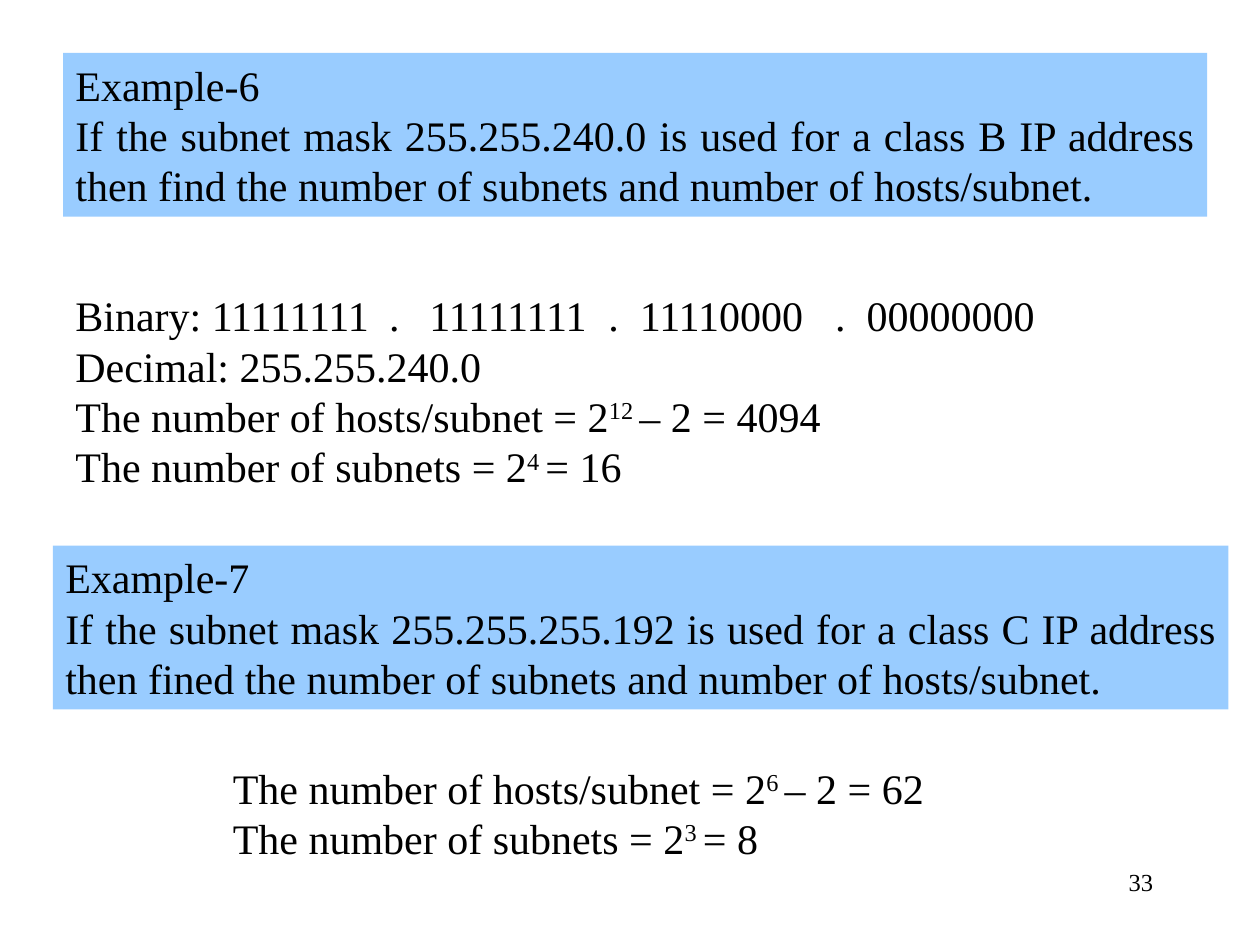
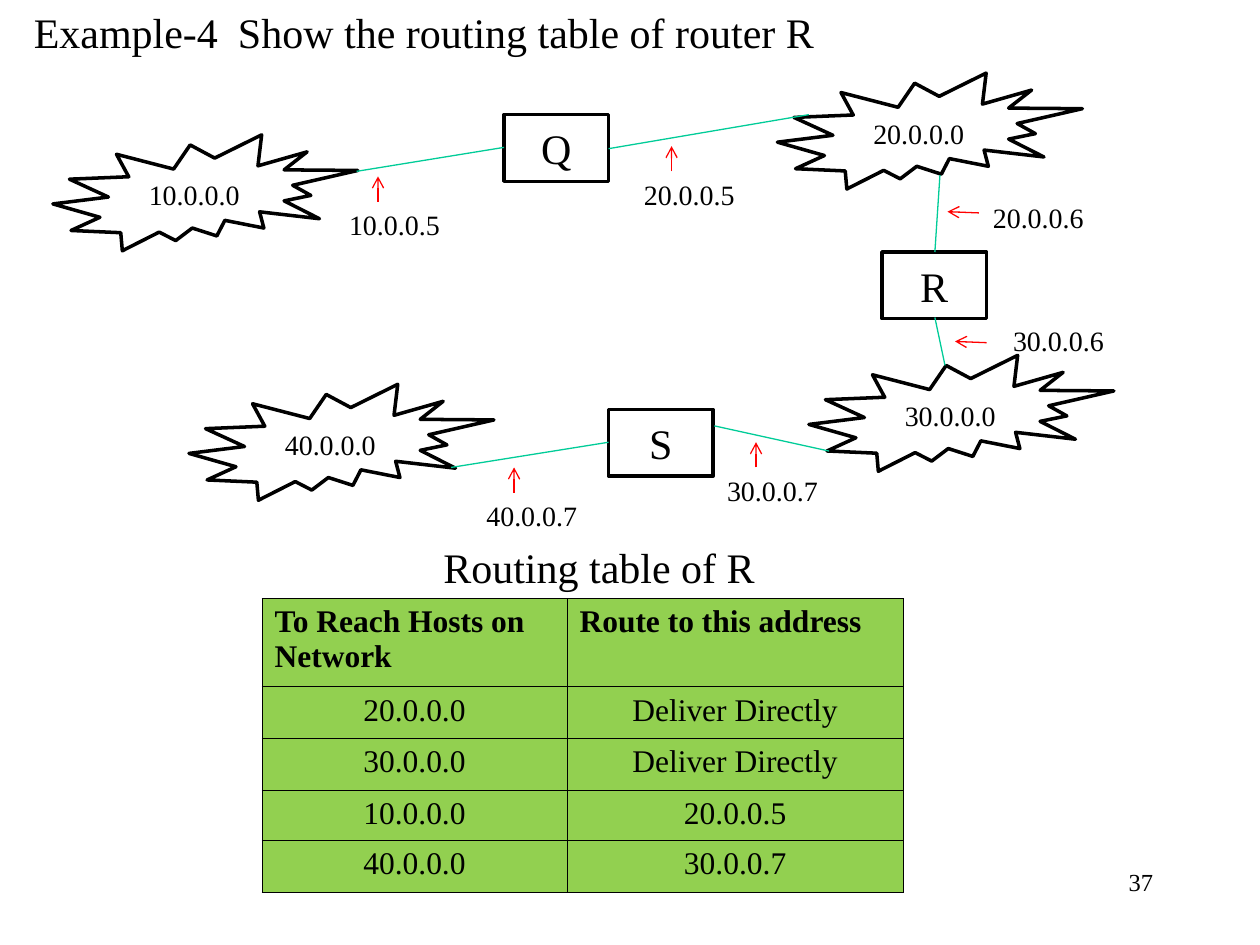
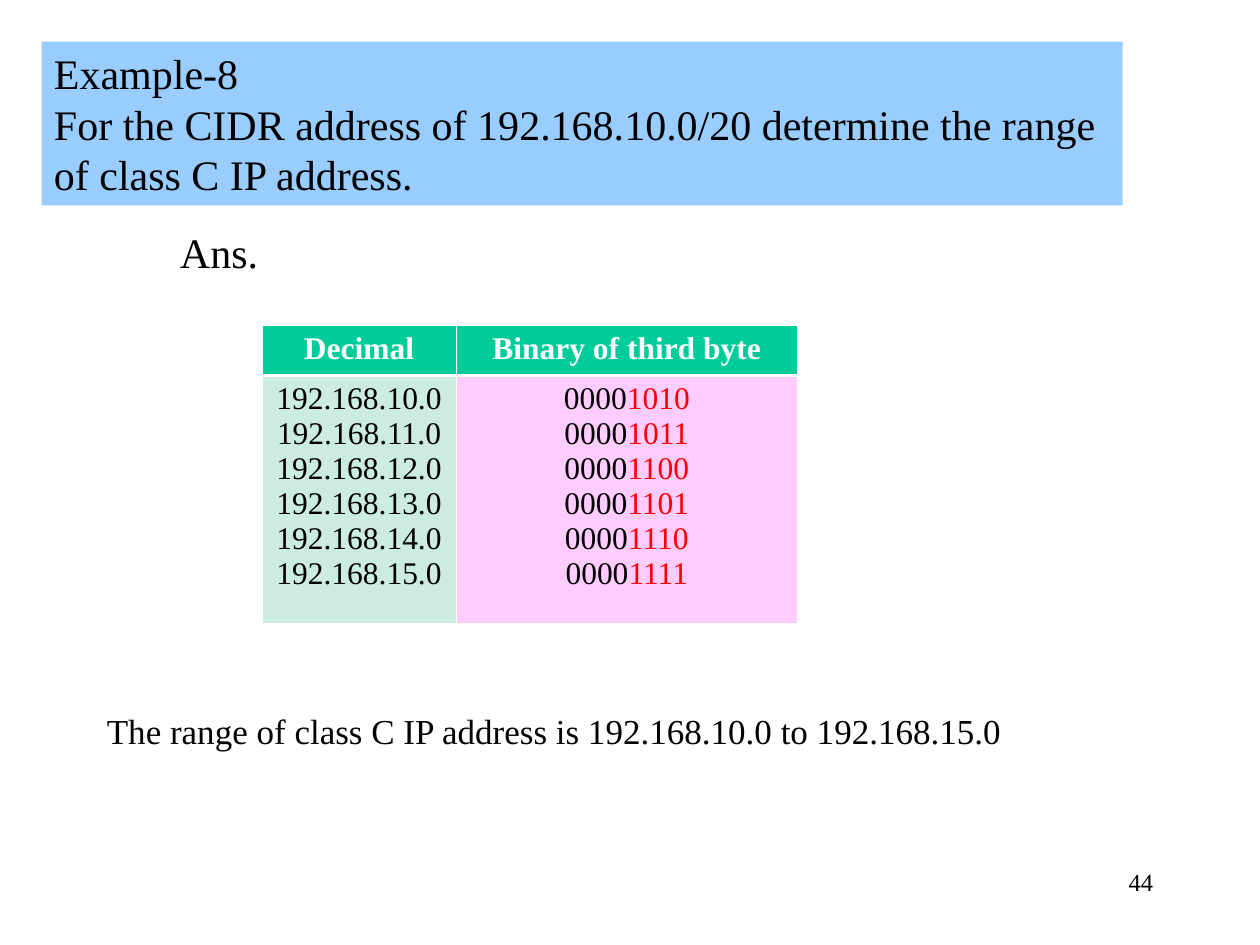
import lxml.etree
import pptx
import pptx.dml.color
import pptx.enum.shapes
import pptx.enum.text
import pptx.oxml.ns
import pptx.util
from dataclasses import dataclass

Inches = pptx.util.Inches
Align = pptx.enum.text.PP_ALIGN
Anchor = pptx.enum.text.MSO_ANCHOR
Preset = pptx.enum.shapes.MSO_SHAPE
qn = pptx.oxml.ns.qn


@dataclass(frozen=True)
class Theme:
    font: str = "Times New Roman"
    ink: str = "000000"
    white: str = "FFFFFF"
    question: str = "99CCFF"
    route_fill: str = "92D050"
    header_fill: str = "00CC99"
    decimal_fill: str = "CBECDE"
    binary_fill: str = "FFCCFF"
    link: str = "00CC98"
    accent: str = "FF0000"
    body: int = 24
    closing: int = 20
    table: int = 18
    label: int = 16
    number: int = 14
    outline: float = 2
    thin: float = 0.75
    rule: float = 0.45
    heavy_rule: float = 1.47


THEME = Theme()


def rgb(value):
    return pptx.dml.color.RGBColor.from_string(value)


# Text: a paragraph is a string or a list of spans; a span is a string
# or a (string, format) pair.
def write(frame, paragraphs, size=THEME.body, color=THEME.ink, bold=False,
          align=Align.LEFT, tabs=()):
    for index, spans in enumerate(paragraphs):
        para = frame.paragraphs[0] if index == 0 else frame.add_paragraph()
        para.alignment = align
        if tabs:
            add_tabs(para, tabs)
        for item in [spans] if isinstance(spans, str) else spans:
            text, extra = (item, {}) if isinstance(item, str) else item
            span = para.add_run()
            span.text = text
            span.font.name = THEME.font
            span.font.size = pptx.util.Pt(size)
            span.font.bold = bold
            span.font.color.rgb = rgb(extra.get("color", color))
            if "baseline" in extra:
                span.font._element.set("baseline", str(extra["baseline"]))


def add_tabs(para, stops):
    tab_list = lxml.etree.SubElement(para._p.get_or_add_pPr(), qn("a:tabLst"))
    for stop in stops:
        lxml.etree.SubElement(tab_list, qn("a:tab"), pos=str(Inches(stop)), algn="l")


def power(before, exponent, after):
    return [before, (f"{exponent} ", {"baseline": 30000}), after]


# Boxes, shapes and lines
def add_text(page, at, paragraphs, wrap=True, **text_format):
    box = page.shapes.add_textbox(*map(Inches, at))
    box.text_frame.word_wrap = wrap
    write(box.text_frame, paragraphs, **text_format)


def add_box(page, preset, at, paragraphs, fill=None, line=None,
            anchor=Anchor.MIDDLE, **text_format):
    box = page.shapes.add_shape(preset, *map(Inches, at))
    box.shadow.inherit = False
    if fill:
        box.fill.solid()
        box.fill.fore_color.rgb = rgb(fill)
    else:
        box.fill.background()
    if line:
        box.line.color.rgb = rgb(line)
        box.line.width = pptx.util.Pt(THEME.outline)
    else:
        box.line.fill.background()
    box.text_frame.word_wrap = True
    box.text_frame.vertical_anchor = anchor
    write(box.text_frame, paragraphs, **text_format)


def add_question(page, at, paragraphs, align=Align.JUSTIFY):
    add_box(page, Preset.RECTANGLE, at, paragraphs, fill=THEME.question,
            anchor=Anchor.TOP, align=align)


def add_line(page, start, end, color, arrow=False):
    line = page.shapes.add_connector(pptx.enum.shapes.MSO_CONNECTOR.STRAIGHT,
                                     *map(Inches, (*start, *end)))
    line.line.color.rgb = rgb(color)
    line.line.width = pptx.util.Pt(THEME.thin)
    if arrow:
        lxml.etree.SubElement(line.line._get_or_add_ln(), qn("a:tailEnd"), type="arrow")
    lxml.etree.SubElement(line._element.spPr, qn("a:effectLst"))


# Tables
def add_table(page, left, top, widths, heights):
    frame = page.shapes.add_table(len(heights), len(widths), Inches(left), Inches(top),
                                  Inches(sum(widths)), Inches(sum(heights)))
    table = frame.table
    table.horz_banding = False
    for column, width in zip(table.columns, widths):
        column.width = Inches(width)
    for row, height in zip(table.rows, heights):
        row.height = Inches(height)
    return table


def fill_cell(cell, paragraphs, fill, border, top=THEME.rule, bottom=THEME.rule,
              **text_format):
    write(cell.text_frame, paragraphs, size=THEME.table, **text_format)
    properties = cell._tc.get_or_add_tcPr()
    sides = {"L": THEME.rule, "R": THEME.rule, "T": top, "B": bottom}
    for side, width in sides.items():
        edge = lxml.etree.SubElement(properties, qn(f"a:ln{side}"),
                                     w=str(pptx.util.Pt(width)))
        paint = lxml.etree.SubElement(edge, qn("a:solidFill"))
        lxml.etree.SubElement(paint, qn("a:srgbClr"), val=border)
    cell.fill.solid()
    cell.fill.fore_color.rgb = rgb(fill)


def add_page(deck, number):
    page = deck.slides.add_slide(deck.slide_layouts[6])
    add_text(page, (7.17, 6.83, 2.08, 0.5), [str(number)], size=THEME.number,
             align=Align.RIGHT)
    return page


# Slides
def build_subnet_masks(deck):
    page = add_page(deck, 33)
    add_question(page, (0.5, 0.42, 9.08, 1.3), [
        "Example-6",
        "If the subnet mask 255.255.240.0 is used for a class B IP address "
        "then find the number of subnets and number of hosts/subnet."])
    add_text(page, (0.5, 2.25, 8.42, 1.7), [
        "Binary: 11111111\t.\t11111111\t.\t11110000\t.\t00000000",
        "Decimal: 255.255.240.0",
        power("The number of hosts/subnet = 2", 12, "– 2 = 4094"),
        power("The number of subnets = 2", 4, "= 16"),
    ], tabs=(2.49, 2.81, 4.23, 4.48, 6.03, 6.28))
    add_question(page, (0.42, 4.33, 9.33, 1.3), [
        "Example-7",
        "If the subnet mask 255.255.255.192 is used for a class C IP address "
        "then fined the number of subnets and number of hosts/subnet."])
    add_text(page, (1.75, 6, 6.67, 0.9), [
        power("The number of hosts/subnet = 2", 6, "– 2 = 62"),
        power("The number of subnets = 2", 3, "= 8")])


def draw_network(page):
    networks = {"20.0.0.0": (6.17, 0.58), "30.0.0.0": (6.42, 2.82),
                "10.0.0.0": (0.42, 1.07), "40.0.0.0": (1.5, 3.05)}
    for address, corner in networks.items():
        add_box(page, Preset.EXPLOSION2, (*corner, 2.42, 0.92), [address],
                line=THEME.ink, size=THEME.label, align=Align.CENTER)

    routers = {"Q": (4, 0.91), "R": (7, 2), "S": (4.83, 3.25)}
    for name, corner in routers.items():
        add_box(page, Preset.RECTANGLE, (*corner, 0.83, 0.53), [name],
                line=THEME.ink, align=Align.CENTER)

    links = [((2.83, 1.36), (4, 1.17)), ((4.83, 1.18), (6.42, 0.91)),
             ((7.46, 1.39), (7.42, 2)), ((7.42, 2.52), (7.5, 2.9)),
             ((6.58, 3.58), (5.67, 3.38)), ((3.58, 3.71), (4.83, 3.51))]
    for start, end in links:
        add_line(page, start, end, THEME.link)

    # Interface addresses, each with the start and direction of its arrow
    up, left = (0, -0.2), (-0.25, -0.01)
    interfaces = [("10.0.0.5", (2.67, 1.6), (3, 1.6), up),
                  ("20.0.0.5", (5.01, 1.36), (5.33, 1.36), up),
                  ("20.0.0.6", (7.78, 1.54), (7.77, 1.69), left),
                  ("30.0.0.6", (7.94, 2.52), (7.83, 2.72), left),
                  ("30.0.0.7", (5.67, 3.71), (6, 3.71), up),
                  ("40.0.0.7", (3.76, 3.91), (4.08, 3.91), up)]
    for address, corner, (x, y), (across, down) in interfaces:
        add_text(page, (*corner, 0.92, 0.37), [address], wrap=False,
                 size=THEME.label, align=Align.CENTER)
        add_line(page, (x, y), (x + across, y + down), THEME.accent, arrow=True)


def build_routing(deck):
    page = add_page(deck, 37)
    draw_network(page)
    routes = [("To Reach Hosts on Network", "Route to this address"),
              ("20.0.0.0", "Deliver Directly"), ("30.0.0.0", "Deliver Directly"),
              ("10.0.0.0", "20.0.0.5"), ("40.0.0.0", "30.0.0.7")]
    table = add_table(page, 2.08, 4.75, (2.42, 2.67), (0.7, 0.41, 0.41, 0.4, 0.41))
    for row, route in enumerate(routes):
        for column, text in enumerate(route):
            fill_cell(table.cell(row, column), [text], THEME.route_fill, THEME.ink,
                      bold=row == 0, align=Align.CENTER if row else Align.LEFT)
    add_text(page, (3.42, 4.25, 2.92, 0.5), ["Routing table of R"])
    add_text(page, (0.17, 0, 8.42, 0.5),
             ["Example-4\tShow the routing table of router R"], tabs=(1.62,))


def build_cidr(deck):
    page = add_page(deck, 44)
    third_bytes = range(10, 16)
    decimals = [f"192.168.{value}.0" for value in third_bytes]
    binaries = [["0000", (f"{value:04b}", {"color": THEME.accent})]
                for value in third_bytes]
    columns = [("Decimal", decimals, THEME.decimal_fill),
               ("Binary of third byte", binaries, THEME.binary_fill)]
    table = add_table(page, 2.08, 2.58, (1.54, 2.71), (0.4, 1.97))
    for column, (heading, values, fill) in enumerate(columns):
        fill_cell(table.cell(0, column), [heading], THEME.header_fill, THEME.white,
                  bottom=THEME.heavy_rule, color=THEME.white, bold=True,
                  align=Align.CENTER)
        fill_cell(table.cell(1, column), values, fill, THEME.white,
                  top=THEME.heavy_rule, align=Align.CENTER)
    add_question(page, (0.33, 0.33, 8.58, 1.3), [
        "Example-8",
        "For the CIDR address of 192.168.10.0/20 determine the range "
        "of class C IP address."], align=Align.LEFT)
    add_text(page, (1.33, 1.75, 1, 0.5), ["Ans."])
    add_text(page, (0.75, 5.58, 7.33, 0.77),
             ["The range of class C IP address is 192.168.10.0 to 192.168.15.0"],
             size=THEME.closing)


def main():
    deck = pptx.Presentation()
    deck.slide_width = Inches(10)
    deck.slide_height = Inches(7.5)
    build_subnet_masks(deck)
    build_routing(deck)
    build_cidr(deck)
    deck.save("out.pptx")


if __name__ == "__main__":
    main()
